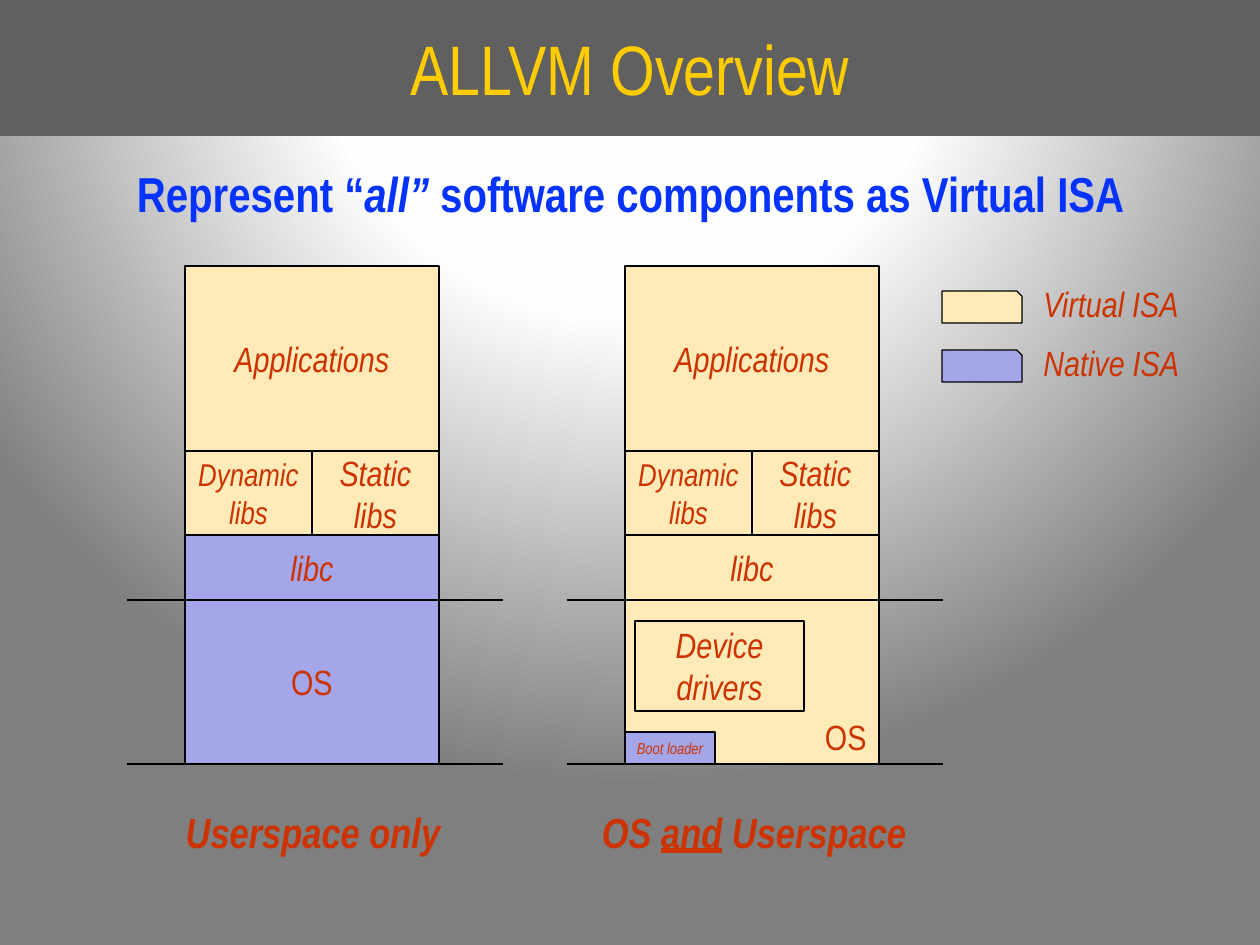
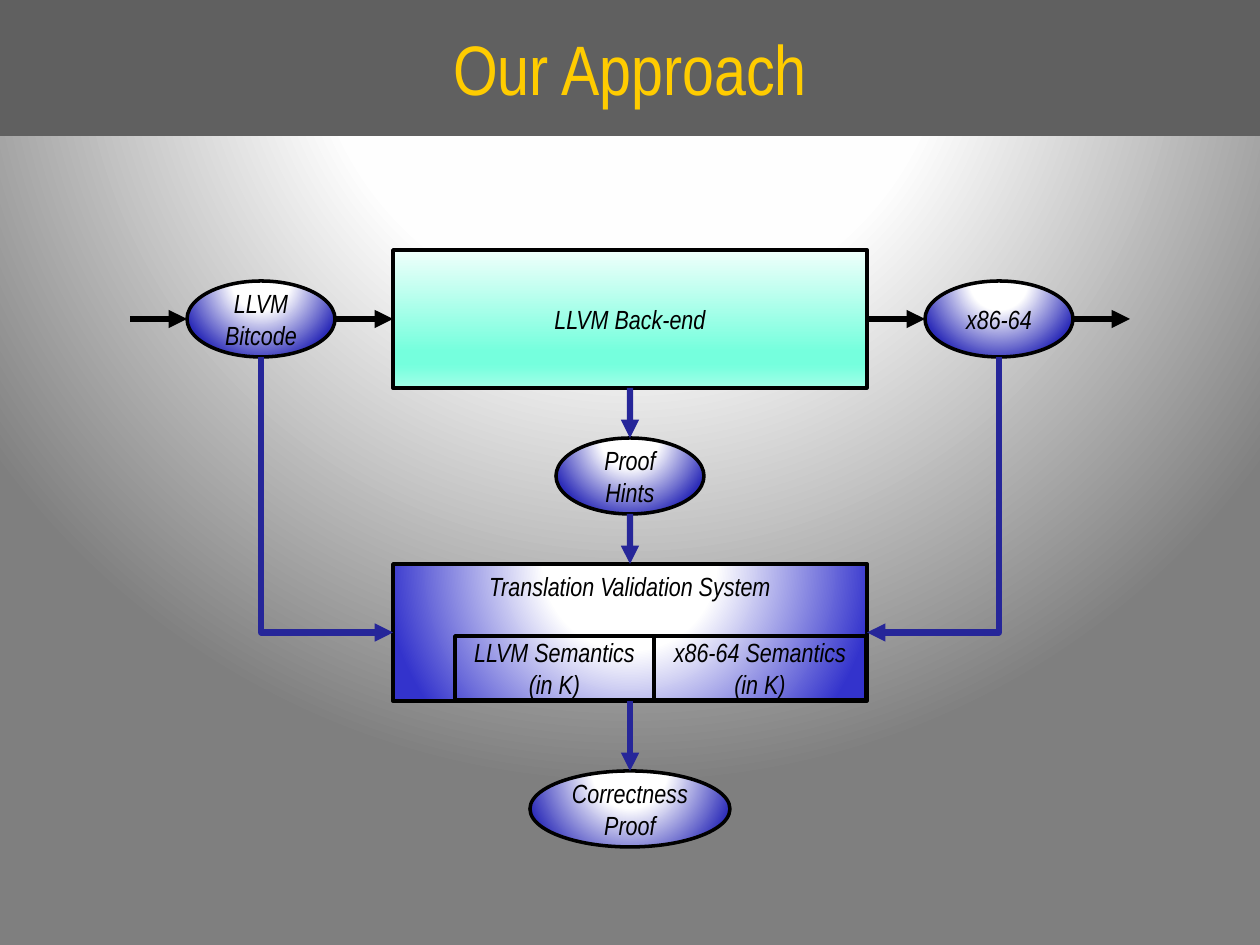
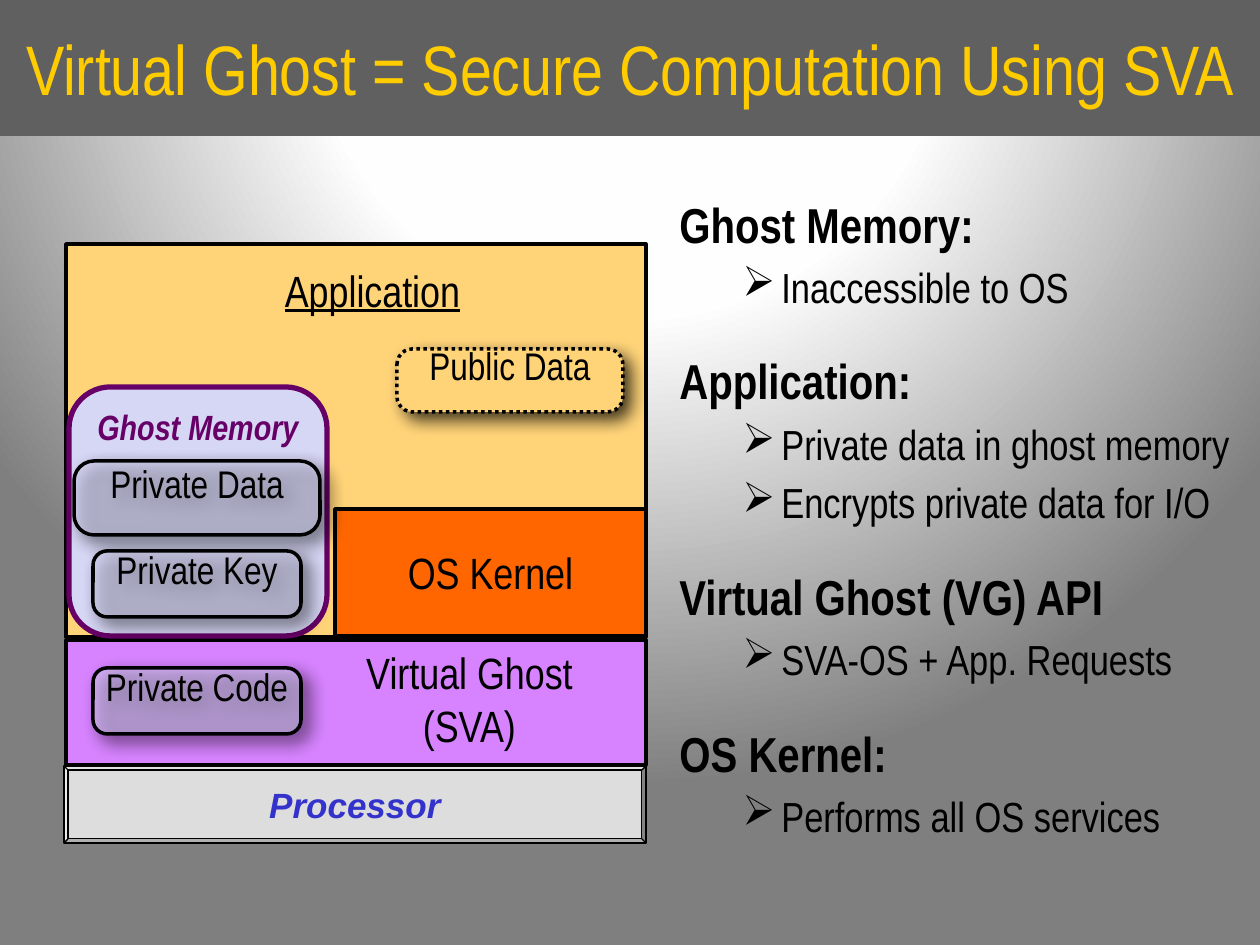
from dataclasses import dataclass, replace
from typing import NamedTuple

from lxml.etree import SubElement
from pptx import Presentation
from pptx.dml.color import RGBColor
from pptx.enum.dml import MSO_LINE
from pptx.enum.shapes import MSO_CONNECTOR, MSO_SHAPE
from pptx.enum.text import MSO_ANCHOR, PP_ALIGN
from pptx.oxml import parse_xml
from pptx.oxml.ns import nsdecls, qn
from pptx.util import Emu, Pt

SLIDE_W, SLIDE_H = 1260, 945
EMU_PER_PX = 914400 / 126
TOP, LEFT, BOTTOM, RIGHT = range(4)


def px(length):
    return Emu(round(length * EMU_PER_PX))


# Theme
@dataclass(frozen=True)
class TextStyle:
    size: float
    color: str
    bold: bool = False
    italic: bool = False
    underline: bool = False
    font: str = "Arial Narrow"


class Gradient(NamedTuple):
    stops: tuple
    radial: bool = True


class Theme:
    black = "000000"
    title_band = "606060"
    virtual_isa = "FFEAB8"
    native_isa = "A5A5E9"
    data_flow = "262699"
    application = "FFD479"
    kernel = "FF6600"
    virtual_ghost = "D783FF"
    processor = "DDDDDD"
    ghost = "D6D6F5"
    ghost_edge = "660066"

    backdrop = Gradient(((0, "FFFFFF"), (40, "FEFEFE"), (100, "7F7F7F")))
    artifact = Gradient(((0, "FFFFFF"), (35, "FFFFFF"), (100, "2D2DB9")))
    validator = Gradient(((0, "FFFFFF"), (35, "FFFFFF"), (100, "3333CC")))
    back_end = Gradient(((0, "F0FFFB"), (74, "75FFDD"), (83, "75FFDD"),
                         (100, "A3FFE8")), radial=False)

    title = TextStyle(40, "FFCC00")
    claim = TextStyle(28, "0432FF", bold=True)
    os_label = TextStyle(20, "CC3300")
    layer = replace(os_label, italic=True)
    small_layer = replace(layer, size=18)
    tiny_layer = replace(layer, size=9)
    caption = replace(layer, size=24, bold=True)
    step = TextStyle(15, black, italic=True)
    topic = TextStyle(28, black, bold=True)
    detail = TextStyle(24, black)
    region = TextStyle(25, black)
    secret = TextStyle(22, black)
    ghost_label = TextStyle(20, ghost_edge, bold=True, italic=True)
    processor_label = TextStyle(20, "3333CC", bold=True, italic=True, font="Arial")

    thin, rule, outline, thick, arrow = 0.75, 1.5, 2, 3, 3.5


# Text
def format_run(run, style):
    font = run.font
    font.name, font.size = style.font, Pt(style.size)
    font.bold, font.italic, font.underline = style.bold, style.italic, style.underline
    font.color.rgb = RGBColor.from_string(style.color)


def write(shape, text, style, align=PP_ALIGN.CENTER, anchor=MSO_ANCHOR.MIDDLE,
          wrap=True, inset=True):
    frame = shape.text_frame
    frame.text = text
    frame.word_wrap = wrap
    frame.vertical_anchor = anchor
    if not inset:
        frame.margin_left = frame.margin_right = 0
        frame.margin_top = frame.margin_bottom = 0
    for paragraph in frame.paragraphs:
        paragraph.alignment = align
        for run in paragraph.runs:
            format_run(run, style)


def append_runs(paragraph, *pieces):
    for text, style in pieces:
        run = paragraph.add_run()
        run.text = text
        format_run(run, style)


def space_before(paragraph, percent):
    spacing = SubElement(paragraph._p.get_or_add_pPr(), qn("a:spcBef"))
    SubElement(spacing, qn("a:spcPct")).set("val", str(percent * 1000))


def text_box(slide, place, text, style, **options):
    box = slide.shapes.add_textbox(*map(px, place))
    write(box, text, style, anchor=MSO_ANCHOR.TOP, **options)
    return box


# Fills and shapes
def paint_gradient(properties, gradient):
    stops = "".join(
        f'<a:gs pos="{position * 1000}"><a:srgbClr val="{color}"/></a:gs>'
        for position, color in gradient.stops)
    if gradient.radial:
        course = ('<a:path path="circle"><a:fillToRect l="50000" t="-80000" '
                  'r="50000" b="180000"/></a:path>')
    else:
        course = '<a:lin ang="5400000" scaled="0"/>'
    fill = parse_xml(f'<a:gradFill {nsdecls("a")} rotWithShape="1">'
                     f'<a:gsLst>{stops}</a:gsLst>{course}</a:gradFill>')
    properties.replace(properties.find(qn("a:solidFill")), fill)


def block(slide, place, fill, line_width=None, line_color=Theme.black,
          kind=MSO_SHAPE.RECTANGLE, corner=None):
    shape = slide.shapes.add_shape(kind, *map(px, place))
    shape.shadow.inherit = False
    if corner is not None:
        shape.adjustments[0] = corner
    if fill is None:
        shape.fill.background()
    else:
        shape.fill.solid()
        if isinstance(fill, Gradient):
            paint_gradient(shape.element.spPr, fill)
        else:
            shape.fill.fore_color.rgb = RGBColor.from_string(fill)
    if line_width:
        shape.line.color.rgb = RGBColor.from_string(line_color)
        shape.line.width = Pt(line_width)
    else:
        shape.line.fill.background()
    return shape


def cast_shadow(shape):
    effects = shape.element.spPr.find(qn("a:effectLst"))
    effects.append(parse_xml(
        f'<a:outerShdw {nsdecls("a")} blurRad="{Pt(10)}" dist="{Pt(6)}" dir="2700000" '
        'algn="tl" rotWithShape="0"><a:srgbClr val="000000"><a:alpha val="75000"/>'
        '</a:srgbClr></a:outerShdw>'))


# Connectors
def finish_connector(connector, color, width, arrowhead):
    connector.line.color.rgb = RGBColor.from_string(color)
    connector.line.width = Pt(width)
    properties = connector.element.spPr
    if arrowhead:
        SubElement(properties.find(qn("a:ln")), qn("a:tailEnd")).set("type", "triangle")
    SubElement(properties, qn("a:effectLst"))


def side_point(shape, side):
    middle_x, middle_y = shape.left + shape.width // 2, shape.top + shape.height // 2
    return {TOP: (middle_x, shape.top), LEFT: (shape.left, middle_y),
            BOTTOM: (middle_x, shape.top + shape.height),
            RIGHT: (shape.left + shape.width, middle_y)}[side]


def straight(slide, start, end, color, width):
    return_line = slide.shapes.add_connector(MSO_CONNECTOR.STRAIGHT, *start, *end)
    finish_connector(return_line, color, width, arrowhead=False)


def arrow(slide, source, target, color):
    """Each end is a (shape, side) pair; rectangles are joined."""
    connector = slide.shapes.add_connector(
        MSO_CONNECTOR.STRAIGHT, *side_point(*source), *side_point(*target))
    for (shape, side), join in ((source, connector.begin_connect),
                                (target, connector.end_connect)):
        if shape.auto_shape_type == MSO_SHAPE.RECTANGLE:
            join(shape, side)
    finish_connector(connector, color, Theme.arrow, arrowhead=True)


def outer_arrow(slide, start, end):
    connector = slide.shapes.add_connector(MSO_CONNECTOR.STRAIGHT, *start, *end)
    finish_connector(connector, Theme.black, Theme.arrow, arrowhead=True)


def down_and_across(slide, start, end):
    """One-bend arrow: a quarter-turned elbow centred between its ends."""
    (x1, y1), (x2, y2) = start, end
    drop, run = y2 - y1, abs(x2 - x1)
    left, top = (x1 + x2 - drop) // 2, (y1 + y2 - run) // 2
    rightward = x2 > x1
    ends = (left + drop, left) if rightward else (left, left + drop)
    elbow = slide.shapes.add_connector(
        MSO_CONNECTOR.ELBOW, ends[0], top, ends[1], top + run)
    properties = elbow.element.spPr
    properties.find(qn("a:xfrm")).set("rot", "16200000" if rightward else "5400000")
    properties.find(qn("a:prstGeom")).set("prst", "bentConnector2")
    finish_connector(elbow, Theme.data_flow, Theme.arrow, arrowhead=True)


# Shared slide frame
def titled_slide(deck, title):
    slide = deck.slides.add_slide(deck.slide_layouts[6])
    write(block(slide, (0, 0, SLIDE_W, 136), Theme.title_band), title, Theme.title)
    return slide


# Slide 1: software stacks
def layer(slide, place, fill, text, style=Theme.layer, **options):
    write(block(slide, place, fill, Theme.thin), text, style, wrap=False, **options)


def software_stack(slide, left, system_fill, os_options):
    width, half = 254, 127
    apps, libs, libc, system, ground = 266, 451, 535, 600, 764
    layer(slide, (left, system, width, ground - system), system_fill, "OS",
          Theme.os_label, **os_options)
    layer(slide, (left, apps, width, libs - apps), Theme.virtual_isa, "Applications")
    layer(slide, (left, libc, width, system - libc), system_fill, "libc")
    layer(slide, (left, libs, half, libc - libs), Theme.virtual_isa,
          "Dynamic\nlibs", Theme.small_layer)
    layer(slide, (left + half, libs, half, libc - libs), Theme.virtual_isa, "Static\nlibs")
    for y in (system, ground):
        straight(slide, (px(left - 58), px(y)), (px(left + 318), px(y)),
                 Theme.black, Theme.rule)


def overview_slide(deck):
    slide = titled_slide(deck, "ALLVM Overview")
    claim = text_box(slide, (53, 157, 1155, 77), "Represent “", Theme.claim)
    paragraph = claim.text_frame.paragraphs[0]
    append_runs(paragraph, ("all”", replace(Theme.claim, italic=True)),
                (" software components as Virtual ISA", Theme.claim))
    space_before(paragraph, 80)

    userspace, full = 185, 625
    software_stack(slide, userspace, Theme.native_isa, {})
    software_stack(slide, full, Theme.virtual_isa,
                   {"align": PP_ALIGN.RIGHT, "anchor": MSO_ANCHOR.BOTTOM})
    layer(slide, (full + 10, 621, 169, 90), None, "Device\ndrivers")
    layer(slide, (full, 732, 90, 32), Theme.native_isa, "Boot loader", Theme.tiny_layer)

    # Captions
    text_box(slide, (171, 800, 284, 63), "Userspace only", Theme.caption, wrap=False)
    both = text_box(slide, (587, 800, 334, 63), "OS ", Theme.caption, wrap=False)
    append_runs(both.text_frame.paragraphs[0],
                ("and", replace(Theme.caption, underline=True)),
                (" Userspace", Theme.caption))

    # Legend
    legend = (("Virtual ISA", Theme.virtual_isa), ("Native ISA", Theme.native_isa))
    for row, (meaning, fill) in enumerate(legend):
        y = 291 + 59 * row
        block(slide, (942, y, 80, 32), fill, Theme.thin, kind=MSO_SHAPE.SNIP_1_RECTANGLE)
        text_box(slide, (1031, y - 15, 162, 55), meaning, Theme.layer,
                 align=PP_ALIGN.LEFT, wrap=False)


# Slide 2: translation validation
def step(slide, place, fill, text, anchor=MSO_ANCHOR.MIDDLE):
    shape = block(slide, place, fill, Theme.outline)
    write(shape, text, Theme.step, anchor=anchor)
    return shape


def artifact(slide, center_x, top, text, width=148):
    shape = block(slide, (center_x - width // 2, top, width, 76), Theme.artifact,
                  Theme.outline, kind=MSO_SHAPE.OVAL)
    write(shape, text, Theme.step)
    return shape


def approach_slide(deck):
    slide = titled_slide(deck, "Our Approach")
    center = SLIDE_W // 2
    back_end = step(slide, (393, 250, 474, 138), Theme.back_end, "LLVM Back-end")
    bitcode = artifact(slide, center - 369, 281, "LLVM Bitcode")
    machine_code = artifact(slide, center + 369, 281, "x86-64")
    hints = artifact(slide, center, 438, "Proof Hints")
    validation = step(slide, (393, 564, 474, 137), Theme.validator,
                      "Translation Validation System", MSO_ANCHOR.TOP)
    proof = artifact(slide, center, 771, "Correctness Proof", width=200)
    step(slide, (455, 636, 199, 64), None, "LLVM Semantics (in K)")
    step(slide, (654, 636, 212, 64), None, "x86-64 Semantics (in K)")

    # Compilation flow
    entry, leave = side_point(bitcode, LEFT), side_point(machine_code, RIGHT)
    outer_arrow(slide, (entry[0] - px(57), entry[1]), entry)
    arrow(slide, (bitcode, RIGHT), (back_end, LEFT), Theme.black)
    arrow(slide, (back_end, RIGHT), (machine_code, LEFT), Theme.black)
    outer_arrow(slide, leave, (leave[0] + px(57), leave[1]))

    # Validation flow
    for source, target in ((back_end, hints), (hints, validation), (validation, proof)):
        arrow(slide, (source, BOTTOM), (target, TOP), Theme.data_flow)
    for source, side in ((bitcode, LEFT), (machine_code, RIGHT)):
        down_and_across(slide, side_point(source, BOTTOM), side_point(validation, side))


# Slide 3: Virtual Ghost
def region_label(slide, place, fill, text, style=Theme.region, line_width=None):
    write(block(slide, place, fill, line_width), text, style, inset=False)


def data_item(slide, place, fill, text, corner):
    item = block(slide, place, fill, Theme.outline,
                 kind=MSO_SHAPE.ROUNDED_RECTANGLE, corner=corner)
    write(item, text, Theme.secret, inset=False)
    item.text_frame.paragraphs[0].line_spacing = 0.01
    cast_shadow(item)
    return item


def private_item(slide, place, text, corner=0.215):
    item = data_item(slide, place, Theme.ghost, text, corner)
    color = item.element.spPr.find(qn("a:solidFill")).find(qn("a:srgbClr"))
    SubElement(color, qn("a:alpha")).set("val", "50000")


def topic_list(slide, place, topics):
    entries = [(text, is_topic) for topic, details in topics
               for text, is_topic in [(topic, True)] + [(d, False) for d in details]]
    box = text_box(slide, place, "\n".join(text for text, _ in entries),
                   Theme.detail, align=PP_ALIGN.LEFT)
    for paragraph, (_, is_topic) in zip(box.text_frame.paragraphs, entries):
        space_before(paragraph, 80 if is_topic else 20)
        if is_topic:
            format_run(paragraph.runs[0], Theme.topic)
        else:
            properties = paragraph._p.get_or_add_pPr()
            properties.set("marL", str(px(102)))
            properties.set("indent", str(px(-39)))
            SubElement(properties, qn("a:buChar")).set("char", "➢")


def ghost_slide(deck):
    slide = titled_slide(deck, "Virtual Ghost = Secure Computation Using SVA")
    topic_list(slide, (667, 188, 582, 719), (
        ("Ghost Memory:", ["Inaccessible to OS"]),
        ("Application:", ["Private data in ghost memory", "Encrypts private data for I/O"]),
        ("Virtual Ghost (VG) API", ["SVA-OS + App. Requests"]),
        ("OS Kernel:", ["Performs all OS services"])))

    # System layers
    block(slide, (66, 244, 580, 393), Theme.application, Theme.outline)
    region_label(slide, (126, 258, 493, 64), Theme.application, "Application",
                 replace(Theme.region, underline=True))
    region_label(slide, (335, 509, 311, 127), Theme.kernel, "OS Kernel",
                 line_width=Theme.outline)
    block(slide, (66, 640, 580, 125), Theme.virtual_ghost, Theme.outline)
    region_label(slide, (349, 662, 241, 73), Theme.virtual_ghost, "Virtual Ghost (SVA)")
    processor = block(slide, (64, 766, 582, 77), Theme.processor, Theme.thin,
                      kind=MSO_SHAPE.BEVEL, corner=0.053)
    write(processor, "Processor", Theme.processor_label, wrap=False)

    # Public and private contents
    public = data_item(slide, (397, 349, 226, 63), Theme.application, "Public Data", 0.246)
    public.line.dash_style = MSO_LINE.ROUND_DOT
    ghost_memory = block(slide, (69, 387, 258, 249), Theme.ghost, Theme.thick,
                         Theme.ghost_edge, kind=MSO_SHAPE.ROUNDED_RECTANGLE)
    write(ghost_memory, "Ghost Memory", Theme.ghost_label,
          anchor=MSO_ANCHOR.TOP, wrap=False)
    private_item(slide, (93, 668, 208, 66), "Private Code")
    private_item(slide, (74, 461, 246, 74), "Private Data", corner=0.271)
    private_item(slide, (93, 551, 208, 66), "Private Key")


def main():
    deck = Presentation()
    deck.slide_width, deck.slide_height = px(SLIDE_W), px(SLIDE_H)
    master = deck.slide_master
    master.background.fill.solid()
    paint_gradient(next(master.element.iter(qn("p:bgPr"))), Theme.backdrop)

    overview_slide(deck)
    approach_slide(deck)
    ghost_slide(deck)
    deck.save("out.pptx")


if __name__ == "__main__":
    main()
